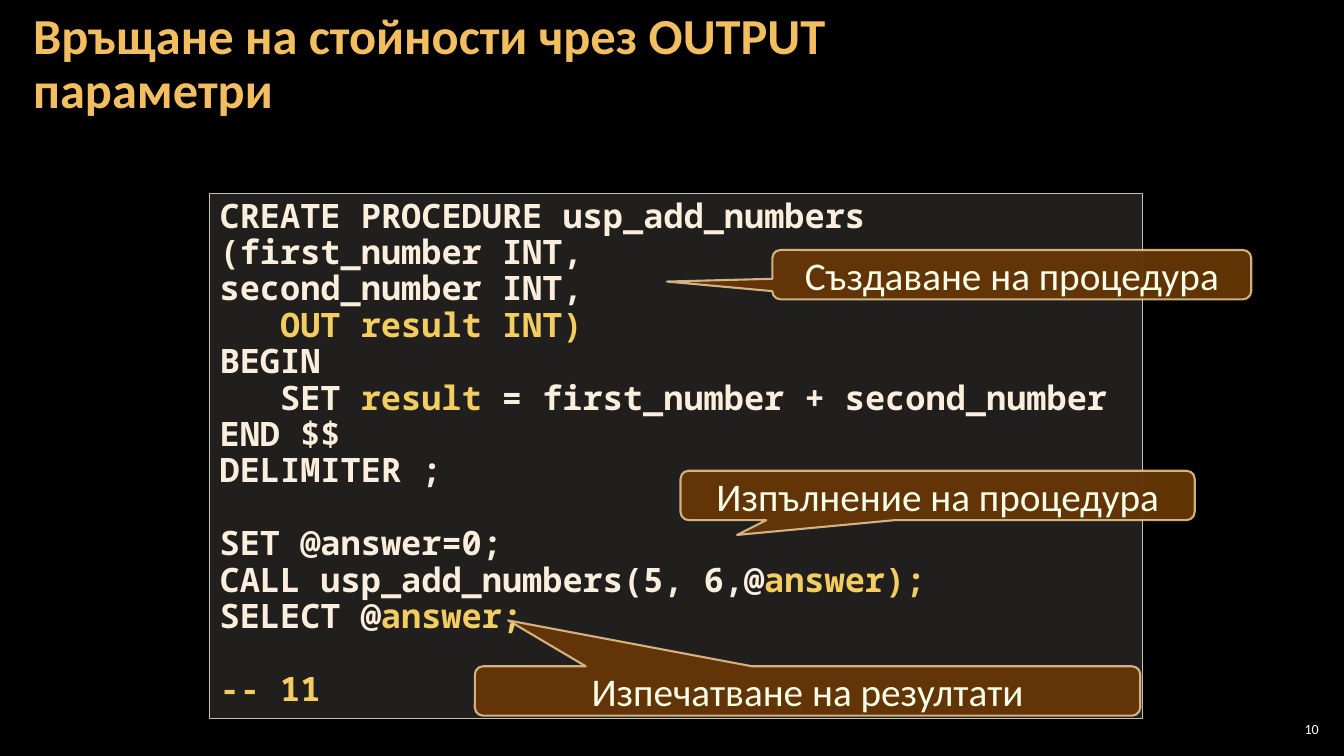
from lxml import etree
from pptx import Presentation
from pptx.dml.color import RGBColor
from pptx.enum.shapes import MSO_SHAPE
from pptx.enum.text import MSO_ANCHOR, PP_ALIGN
from pptx.oxml.ns import qn
from pptx.util import Inches, Pt

BLACK = RGBColor(0x00, 0x00, 0x00)
WHITE = RGBColor(0xFF, 0xFF, 0xFF)
TITLE_GOLD = RGBColor(0xF3, 0xBE, 0x60)
CODE_CREAM = RGBColor(0xFB, 0xEE, 0xDC)
CODE_GOLD = RGBColor(0xF3, 0xCD, 0x60)
PANEL_FILL = RGBColor(0xD9, 0xD5, 0xC7)
PANEL_LINE = RGBColor(0xC7, 0xBF, 0xAC)
CALLOUT_FILL = RGBColor(0x66, 0x36, 0x06)
CALLOUT_LINE = RGBColor(0xF8, 0xD4, 0x9E)
CALLOUT_TEXT = RGBColor(0xF7, 0xFF, 0xE7)

TEXT_FONT = "Calibri"
CODE_FONT = "Noto Sans Mono"
LINE_PITCH = Pt(26)

# Each code line is a list of (text, colour) parts; an empty list is a blank line.
CODE_LINES = [
    [("CREATE PROCEDURE usp_add_numbers", CODE_CREAM)],
    [("(first_number INT,", CODE_CREAM)],
    [("second_number INT,", CODE_CREAM)],
    [("   ", CODE_CREAM), ("OUT result INT)", CODE_GOLD)],
    [("BEGIN", CODE_CREAM)],
    [("   SET ", CODE_CREAM), ("result ", CODE_GOLD),
     ("= first_number + second_number", CODE_CREAM)],
    [("END $$", CODE_CREAM)],
    [("DELIMITER ;", CODE_CREAM)],
    [],
    [("SET @answer=0;", CODE_CREAM)],
    [("CALL usp_add_numbers(5, 6,@", CODE_CREAM), ("answer);", CODE_GOLD)],
    [("SELECT @", CODE_CREAM), ("answer;", CODE_GOLD)],
    [],
    [("-- 11", CODE_GOLD)],
]

# Text, left, top, width, and the pointer tip relative to the callout centre.
CALLOUTS = [
    ("Създаване на процедура", 7.66, 2.48, 4.75, (-0.72, 0.14)),
    ("Изпълнение на процедура", 6.75, 4.67, 5.1, (-0.39, 0.8)),
    ("Изпечатване на резултати", 4.71, 6.61, 6.6, (-0.45, -1.43)),
]
CALLOUT_HEIGHT = 0.49


def set_opacity(fill, percent):
    color = fill._xPr.find(qn("a:solidFill"))[0]
    etree.SubElement(color, qn("a:alpha")).set("val", str(percent * 1000))


def style_font(font, name, size, color, bold=False):
    font.name = name
    font.size = Pt(size)
    font.bold = bold
    font.color.rgb = color


def add_label(slide, text, box, side_inset, size, color, bold, alignment):
    text_box = slide.shapes.add_textbox(*map(Inches, box))
    text_frame = text_box.text_frame
    text_frame.word_wrap = True
    text_frame.vertical_anchor = MSO_ANCHOR.MIDDLE
    text_frame.margin_left = text_frame.margin_right = Inches(side_inset)
    text_frame.margin_top = text_frame.margin_bottom = Inches(0.04)
    text_frame.text = text
    paragraph = text_frame.paragraphs[0]
    paragraph.alignment = alignment
    paragraph.line_spacing = 0.9
    style_font(paragraph.runs[0].font, TEXT_FONT, size, color, bold)


def add_filled_shape(slide, kind, box, fill, fill_opacity, line, line_width):
    shape = slide.shapes.add_shape(kind, *map(Inches, box))
    shape.shadow.inherit = False
    shape.fill.solid()
    shape.fill.fore_color.rgb = fill
    set_opacity(shape.fill, fill_opacity)
    shape.line.color.rgb = line
    shape.line.width = Pt(line_width)
    return shape


def add_code_panel(slide):
    """Blank code lines become space before the line that follows."""
    panel = add_filled_shape(slide, MSO_SHAPE.RECTANGLE, (2.08, 1.92, 9.25, 5.21),
                             PANEL_FILL, 15, PANEL_LINE, 1)
    text_frame = panel.text_frame
    text_frame.word_wrap = True
    text_frame.vertical_anchor = MSO_ANCHOR.TOP
    paragraph = text_frame.paragraphs[0]
    after_blank = False
    for index, parts in enumerate(CODE_LINES):
        if not parts:
            after_blank = True
            continue
        if index:
            paragraph = text_frame.add_paragraph()
        paragraph.alignment = PP_ALIGN.LEFT
        paragraph.line_spacing = LINE_PITCH
        if after_blank:
            paragraph.space_before = LINE_PITCH
            after_blank = False
        for text, color in parts:
            run = paragraph.add_run()
            run.text = text
            style_font(run.font, CODE_FONT, 24, color, bold=True)


def add_callout(slide, text, left, top, width, tip):
    callout = add_filled_shape(slide, MSO_SHAPE.ROUNDED_RECTANGULAR_CALLOUT,
                               (left, top, width, CALLOUT_HEIGHT),
                               CALLOUT_FILL, 95, CALLOUT_LINE, 1.5)
    set_opacity(callout.line.fill, 80)
    callout.adjustments[0], callout.adjustments[1] = tip
    text_frame = callout.text_frame
    text_frame.word_wrap = True
    text_frame.vertical_anchor = MSO_ANCHOR.MIDDLE
    text_frame.text = text
    paragraph = text_frame.paragraphs[0]
    paragraph.alignment = PP_ALIGN.CENTER
    style_font(paragraph.runs[0].font, TEXT_FONT, 28, CALLOUT_TEXT)


def main():
    presentation = Presentation()
    presentation.slide_width = Inches(13.33)
    presentation.slide_height = Inches(7.5)
    slide = presentation.slides.add_slide(presentation.slide_layouts[6])
    slide.background.fill.solid()
    slide.background.fill.fore_color.rgb = BLACK

    add_label(slide, "10", (12.65, 7.14, 0.47, 0.21), 0.04, 10, WHITE,
              False, PP_ALIGN.RIGHT)
    add_label(slide, "Връщане на стойности чрез OUTPUT параметри",
              (0.21, 0.04, 10.47, 1.21), 0.12, 36, TITLE_GOLD, True, PP_ALIGN.LEFT)
    add_code_panel(slide)
    for callout in CALLOUTS:
        add_callout(slide, *callout)

    presentation.save("out.pptx")


if __name__ == "__main__":
    main()
